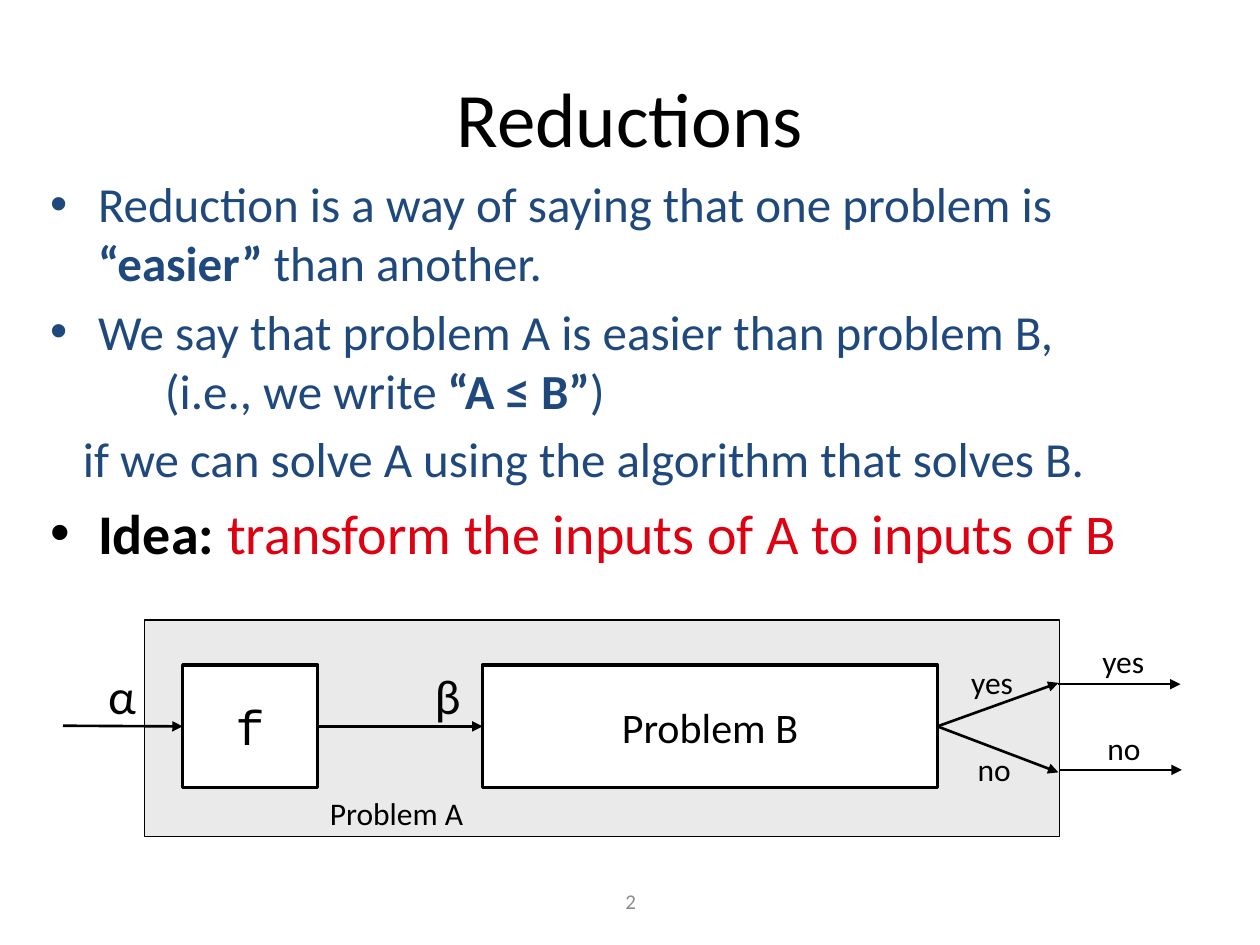
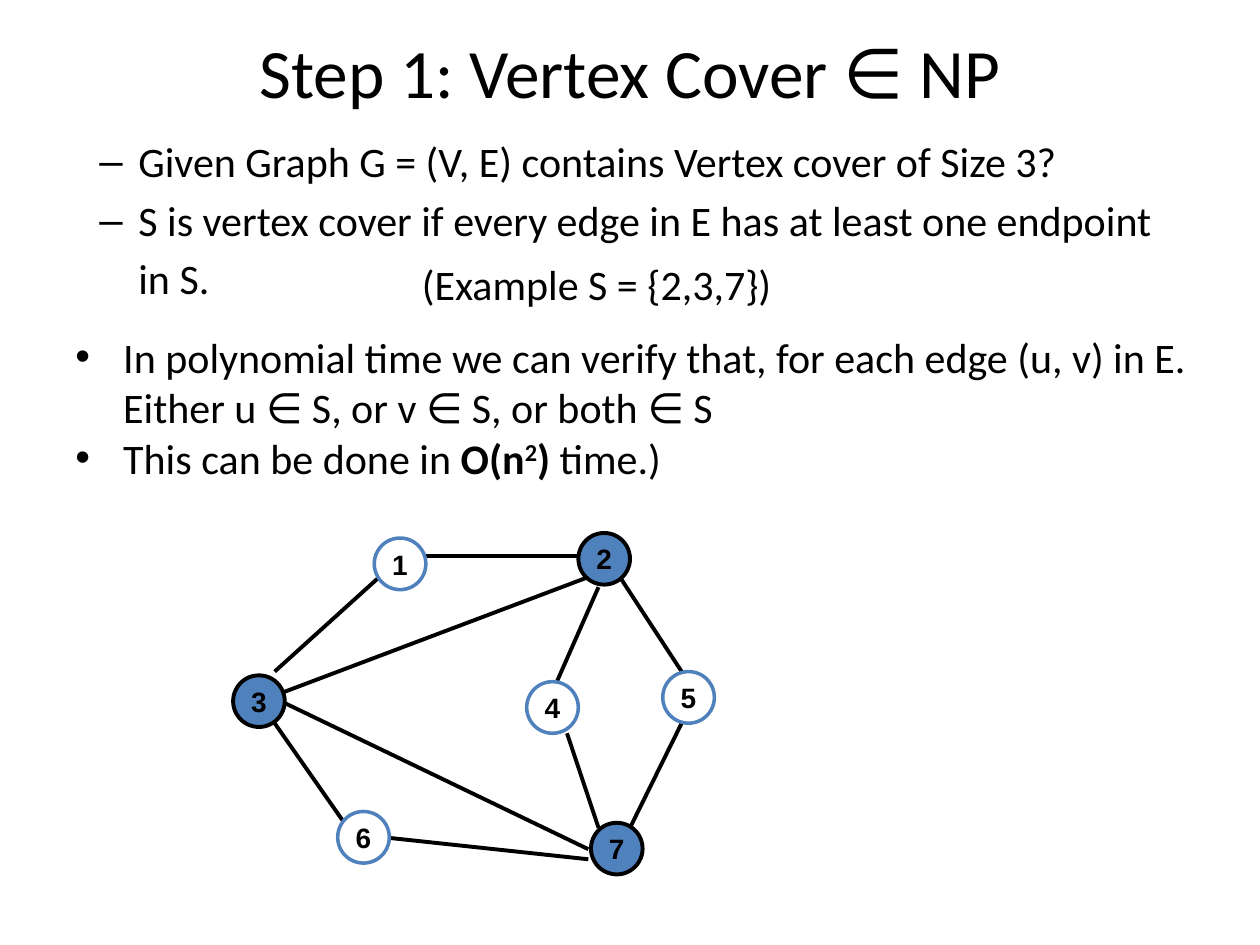
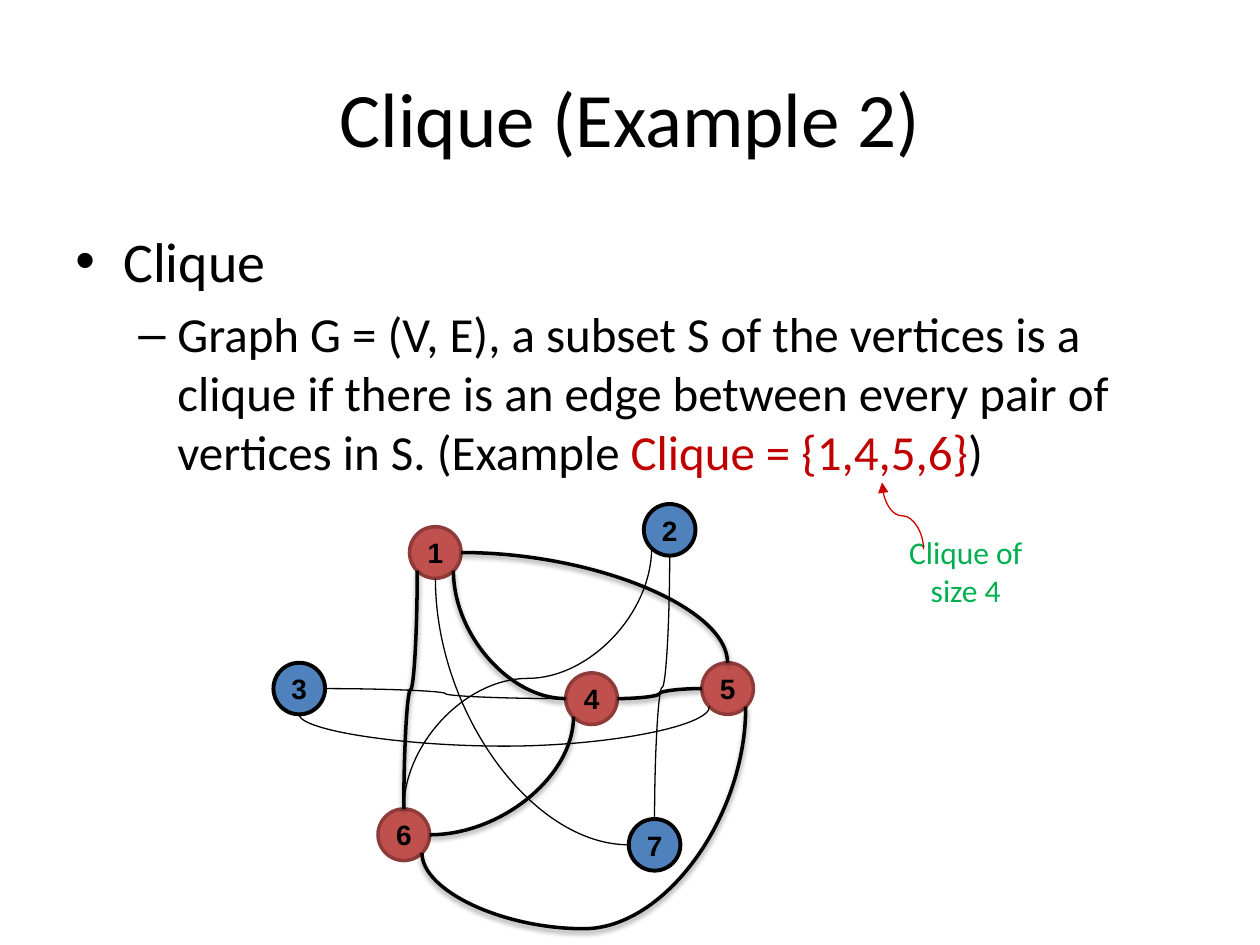
from dataclasses import dataclass

from lxml import etree
from pptx import Presentation
from pptx.dml.color import RGBColor
from pptx.enum.shapes import MSO_CONNECTOR, MSO_SHAPE
from pptx.enum.text import MSO_ANCHOR, PP_ALIGN
from pptx.oxml.ns import qn
from pptx.util import Inches, Pt

LEFT, CENTER = PP_ALIGN.LEFT, PP_ALIGN.CENTER
TOP, MIDDLE = MSO_ANCHOR.TOP, MSO_ANCHOR.MIDDLE
RECTANGLE, OVAL = MSO_SHAPE.RECTANGLE, MSO_SHAPE.OVAL
STRAIGHT, CURVE = MSO_CONNECTOR.STRAIGHT, MSO_CONNECTOR.CURVE


@dataclass(frozen=True)
class Theme:
    black: str = "000000"
    white: str = "FFFFFF"
    navy: str = "1F497D"
    blue: str = "4F81BD"
    red: str = "C0504D"
    dark_red: str = "8E3B39"
    idea_red: str = "DD0111"
    clique_red: str = "C00000"
    arrow_red: str = "CC0000"
    green: str = "00B050"
    panel: str = "EAEAEA"
    gray: str = "8C8C8C"
    font: str = "Calibri"
    node_font: str = "Arial"
    code_font: str = "Courier New"
    title: float = 44
    tight_title: float = 39.6
    lead: float = 32
    body: float = 28
    text: float = 24
    label: float = 18
    node: float = 16
    footer: float = 12


THEME = Theme()
WIDTH, HEIGHT = 10, 7.5
TITLE_BOX = (0.5, 0.3, 9, 1.25)
FOOTER_BOX = (3.42, 6.95, 3.17, 0.4)
NODE = 0.41

PARA_STYLES = {
    "plain": (0, 0, None),
    "dot": (0.38, -0.38, "•"),
    "dash": (0.81, -0.31, "–"),
    "outer dash": (0.5, -0.31, "–"),
    "aside": (0.91, 0, None),
    "continued": (0.26, 0, None),
    "example": (0.5, 0, None),
}

NODE_STYLES = {
    "open": (THEME.white, THEME.blue, 2),
    "filled": (THEME.blue, THEME.black, 2.25),
    "clique": (THEME.red, THEME.dark_red, 2),
}

NAVY = {"color": THEME.navy}
NAVY_BOLD = {"color": THEME.navy, "bold": True}
BOLD = {"bold": True}

REDUCTION_TEXT = [
    ("dot", THEME.body, 0, [("Reduction is a way of saying that one problem is ", NAVY),
                            ("“easier”", NAVY_BOLD), (" than another.", NAVY)]),
    ("dot", THEME.body, 0.2, [("We say that problem A is easier than problem B,", NAVY)]),
    ("aside", THEME.body, 0, [("(i.e., we write ", NAVY), ("“A ≤ B”", NAVY_BOLD), (")", NAVY)]),
    ("continued", THEME.body, 0.2,
     [("if we can solve A using the algorithm that solves B.", NAVY)]),
    ("dot", THEME.lead, 0.2, [("Idea: ", BOLD),
                              ("transform the inputs of A to inputs of B",
                               {"color": THEME.idea_red})]),
]
REDUCTION_LABELS = [
    ("α", (0.76, 5.23, 0.45, 0.57), THEME.body),
    ("β", (3.35, 5.23, 0.41, 0.57), THEME.body),
    ("yes", (7.61, 5.21, 0.59, 0.4), THEME.label),
    ("no", (7.66, 5.9, 0.48, 0.4), THEME.label),
    ("yes", (8.65, 5.05, 0.59, 0.4), THEME.label),
    ("no", (8.69, 5.74, 0.48, 0.4), THEME.label),
    ("Problem A", (2.52, 6.25, 1.37, 0.4), THEME.label),
]

COVER_TEXT = [
    ("outer dash", THEME.text, 0,
     [("Given Graph G = (V, E) contains Vertex cover of Size 3?", {})]),
    ("outer dash", THEME.text, 0.2,
     [("S is vertex cover if every edge in E has at least one endpoint in S.", {}),
      (" ", {"size": THEME.body})]),
]
COVER_EXAMPLE = [("example", THEME.text, 0, [("(Example S = {2,3,7})", {})])]
COVER_CHECK = [
    ("dot", THEME.text, 0, [("In polynomial time we can verify that, for each edge (u, v) in E. "
                             "Either u ∈ S, or v ∈ S, or both ∈ S", {})]),
    ("dot", THEME.text, 0, [("This can be done in ", {}), ("O(n", BOLD),
                            ("2", {"bold": True, "baseline": 30000}), (") ", BOLD),
                            ("time.)", {})]),
]
COVER_EDGES = [
    ((2.18, 5.33), (3.01, 4.58)), ((3.34, 4.41), (4.59, 4.41)),
    ((4.92, 4.58), (5.41, 5.33)), ((4.75, 4.66), (4.42, 5.41)),
    ((2.26, 5.49), (4.67, 4.58)), ((2.18, 5.74), (2.76, 6.57)),
    ((2.26, 5.58), (4.67, 6.74)), ((3.09, 6.65), (4.67, 6.82)),
    ((4.5, 5.82), (4.75, 6.57)), ((5.41, 5.74), (5, 6.57)),
]
COVER_NODES = {
    "1": (2.97, 4.27, "open"), "6": (2.68, 6.44, "open"),
    "4": (4.18, 5.41, "open"), "5": (5.26, 5.33, "open"),
    "2": (4.59, 4.23, "filled"), "3": (1.85, 5.36, "filled"),
    "7": (4.69, 6.53, "filled"),
}

CLIQUE_TEXT = [
    ("dot", THEME.lead, 0, [("Clique", {})]),
    ("dash", THEME.body, 0.2,
     [("Graph G = (V, E), a subset S of the vertices is a clique if there is an edge "
       "between every pair of vertices in S. (Example ", {}),
      ("Clique = {1,4,5,6}", {"color": THEME.clique_red}), (")", {})]),
]
CLIQUE_CALLOUT = [("plain", THEME.label, 0, [("Clique of size 4", {"color": THEME.green})])]
CLIQUE_NODES = {
    "1": (3.25, 4.18, "clique"), "3": (2.17, 5.26, "filled"),
    "2": (5.11, 4, "filled"), "6": (3, 6.42, "clique"),
    "7": (4.99, 6.5, "filled"), "4": (4.49, 5.34, "clique"),
    "5": (5.57, 5.26, "clique"),
}
S_BEND = ("curvedConnector3", 0.5)
ARC = ("curvedConnector2", None)
OVAL_SITES = {
    "top": (0, 0.5, 0), "left": (2, 0, 0.5), "low left": (3, 0.15, 0.85),
    "bottom": (4, 0.5, 1), "low right": (5, 0.85, 0.85), "right": (6, 1, 0.5),
}
CLIQUE_EDGES = [
    ("3", "bottom", "5", "low left", ("curvedConnector3", -4.11)),
    ("1", "right", "5", "top", ARC),
    ("1", "low right", "4", "left", ARC),
    ("1", "low left", "6", "top", S_BEND),
    ("1", "bottom", "7", "left", ARC),
    ("2", "bottom", "7", "top", S_BEND),
    ("2", "low left", "6", "top", S_BEND),
    ("3", "right", "4", "left", S_BEND),
    ("4", "right", "5", "left", S_BEND),
    ("4", "low left", "6", "right", ARC),
    ("5", "low right", "6", "low right", ("curvedConnector3", 1.52)),
]


def rgb(value):
    return RGBColor.from_string(value)


def inches(values):
    return [Inches(value) for value in values]


def write(shape, paras, align=LEFT, anchor=TOP, wrap=True, font=THEME.font):
    frame = shape.text_frame
    frame.word_wrap = wrap
    frame.vertical_anchor = anchor
    for index, (style, size, gap, spans) in enumerate(paras):
        para = frame.paragraphs[0] if index == 0 else frame.add_paragraph()
        margin, indent, bullet = PARA_STYLES[style]
        props = para._p.get_or_add_pPr()
        props.set("marL", str(Inches(margin)))
        props.set("indent", str(Inches(indent)))
        if bullet:
            etree.SubElement(props, qn("a:buFont")).set("typeface", "Arial")
            etree.SubElement(props, qn("a:buChar")).set("char", bullet)
        para.alignment = align
        para.space_before = Pt(size * gap)
        for text, look in spans:
            span = para.add_run()
            span.text = text
            span.font.name = font
            span.font.size = Pt(look.get("size", size))
            span.font.bold = look.get("bold", False)
            span.font.color.rgb = rgb(look.get("color", THEME.black))
            if "baseline" in look:
                span._r.get_or_add_rPr().set("baseline", str(look["baseline"]))


def add_text(page, area, paras, **layout):
    box = page.shapes.add_textbox(*inches(area))
    write(box, paras, **layout)
    return box


def single(text, size, **look):
    return [("plain", size, 0, [(text, look)])]


def add_page(deck, title, area=TITLE_BOX, size=THEME.title, number=None):
    page = deck.slides.add_slide(deck.slide_layouts[6])
    add_text(page, area, single(title, size), align=CENTER, anchor=MIDDLE)
    if number:
        add_text(page, FOOTER_BOX, single(number, THEME.footer, color=THEME.gray),
                 align=CENTER, anchor=MIDDLE)
    return page


def add_block(page, kind, area, fill, line, weight):
    shape = page.shapes.add_shape(kind, *inches(area))
    shape.shadow.inherit = False
    shape.fill.solid()
    shape.fill.fore_color.rgb = rgb(fill)
    shape.line.color.rgb = rgb(line)
    shape.line.width = Pt(weight)
    return shape


def add_line(page, start, end, weight, color=THEME.black, kind=STRAIGHT, arrow=False,
             shadow=False):
    line = page.shapes.add_connector(kind, *inches(start + end))
    line.line.color.rgb = rgb(color)
    line.line.width = Pt(weight)
    props = line._element.spPr
    if arrow:
        etree.SubElement(props.find(qn("a:ln")), qn("a:tailEnd")).set("type", "triangle")
    effects = etree.SubElement(props, qn("a:effectLst"))
    if shadow:
        outer = etree.SubElement(effects, qn("a:outerShdw"), blurRad=str(Pt(3.1)),
                                 dist=str(Pt(1.6)), dir="5400000", rotWithShape="0")
        tint = etree.SubElement(outer, qn("a:srgbClr"), val=THEME.black)
        etree.SubElement(tint, qn("a:alpha"), val="38000")
    return line


def add_curve(page, start, end, bend, upright, weight, **look):
    line = add_line(page, start, end, weight, kind=CURVE, **look)
    preset, share = bend
    run, drop = end[0] - start[0], end[1] - start[1]
    frame = line._element.spPr.find(qn("a:xfrm"))
    mirrored = run < 0
    if upright:
        middle_x, middle_y = (start[0] + end[0]) / 2, (start[1] + end[1]) / 2
        line.width, line.height = Inches(abs(drop)), Inches(abs(run))
        line.left = Inches(middle_x - abs(drop) / 2)
        line.top = Inches(middle_y - abs(run) / 2)
        frame.set("rot", str(60000 * (90 if run * drop < 0 else 270)))
        mirrored = run > 0
    frame.set("flipH", str(int(mirrored)))
    frame.set("flipV", str(int(drop < 0)))
    outline = line._element.spPr.find(qn("a:prstGeom"))
    outline.set("prst", preset)
    if share is not None:
        guides = outline.find(qn("a:avLst"))
        if guides is None:
            guides = etree.SubElement(outline, qn("a:avLst"))
        etree.SubElement(guides, qn("a:gd"), name="adj1", fmla=f"val {round(share * 100000)}")
    return line


def add_nodes(page, nodes):
    ovals = {}
    for name, (left, top, style) in nodes.items():
        oval = add_block(page, OVAL, (left, top, NODE, NODE), *NODE_STYLES[style])
        write(oval, single(name, THEME.node, bold=True), align=CENTER, anchor=MIDDLE,
              wrap=False, font=THEME.node_font)
        ovals[name] = oval
    return ovals


def site_point(node, site):
    left, top, _ = CLIQUE_NODES[node]
    _, across, down = OVAL_SITES[site]
    return left + across * NODE, top + down * NODE


def add_clique_edge(page, ovals, first, leaving, second, arriving, bend):
    strong = all(CLIQUE_NODES[name][2] == "clique" for name in (first, second))
    line = add_curve(page, site_point(first, leaving), site_point(second, arriving), bend,
                     leaving not in ("left", "right"), 2 if strong else 0.75, shadow=strong)
    links = line._element.nvCxnSpPr.cNvCxnSpPr
    for tag, name, site in (("a:stCxn", first, leaving), ("a:endCxn", second, arriving)):
        etree.SubElement(links, qn(tag), id=str(ovals[name].shape_id),
                         idx=str(OVAL_SITES[site][0]))


def build_reductions(deck):
    page = add_page(deck, "Reductions", number="2")
    add_text(page, (0.3, 1.33, 9.5, 5.55), REDUCTION_TEXT)
    add_block(page, RECTANGLE, (1.15, 4.92, 7.26, 1.72), THEME.panel, THEME.black, 0.75)
    steps = []
    for text, left, width, size, font in (
            ("f", 1.45, 1.07, THEME.body, THEME.code_font),
            ("Problem B", 3.83, 3.61, THEME.text, THEME.font)):
        step = add_block(page, RECTANGLE, (left, 5.28, width, 0.97),
                         THEME.white, THEME.black, 2)
        write(step, single(text, size), align=CENTER, anchor=MIDDLE, wrap=False, font=font)
        steps.append(step)
    transform, solver = steps
    for start, end, source, target in (
            ((0.5, 5.76), (1.45, 5.76), None, transform),
            ((2.52, 5.76), (3.83, 5.76), transform, solver),
            ((7.44, 5.76), (8.4, 5.42), solver, None),
            ((7.44, 5.76), (8.4, 6.13), solver, None),
            ((8.4, 5.43), (9.37, 5.43), None, None),
            ((8.41, 6.11), (9.38, 6.11), None, None)):
        line = add_line(page, start, end, 1.5, arrow=True)
        if source:
            line.begin_connect(source, 3)
        if target:
            line.end_connect(target, 1)
    for text, area, size in REDUCTION_LABELS:
        add_text(page, area, single(text, size), wrap=False)


def build_vertex_cover(deck):
    page = add_page(deck, "Step 1: Vertex Cover ∈ NP", (0.5, 0.3, 9, 0.53), THEME.tight_title)
    add_text(page, (0.5, 1.03, 9, 1.99), COVER_TEXT)
    for start, end in COVER_EDGES:
        add_line(page, start, end, 2.25)
    add_nodes(page, COVER_NODES)
    add_text(page, (2.75, 2, 3.5, 0.5), COVER_EXAMPLE, wrap=False)
    add_text(page, (0.5, 2.58, 9.46, 1.31), COVER_CHECK)


def build_clique(deck):
    page = add_page(deck, "Clique (Example 2)")
    add_text(page, (0.5, 1.75, 9, 2.25), CLIQUE_TEXT)
    callout = add_text(page, (7, 4.17, 1.33, 0.72), CLIQUE_CALLOUT, align=CENTER, anchor=MIDDLE)
    callout.text_frame.margin_top = callout.text_frame.margin_bottom = Inches(0.1)
    add_curve(page, (7.33, 4.36), (7, 3.83), S_BEND, True, 0.75,
              color=THEME.arrow_red, arrow=True)
    ovals = add_nodes(page, CLIQUE_NODES)
    for edge in CLIQUE_EDGES:
        add_clique_edge(page, ovals, *edge)


def main():
    deck = Presentation()
    deck.slide_width, deck.slide_height = inches((WIDTH, HEIGHT))
    build_reductions(deck)
    build_vertex_cover(deck)
    build_clique(deck)
    deck.save("out.pptx")


if __name__ == "__main__":
    main()
